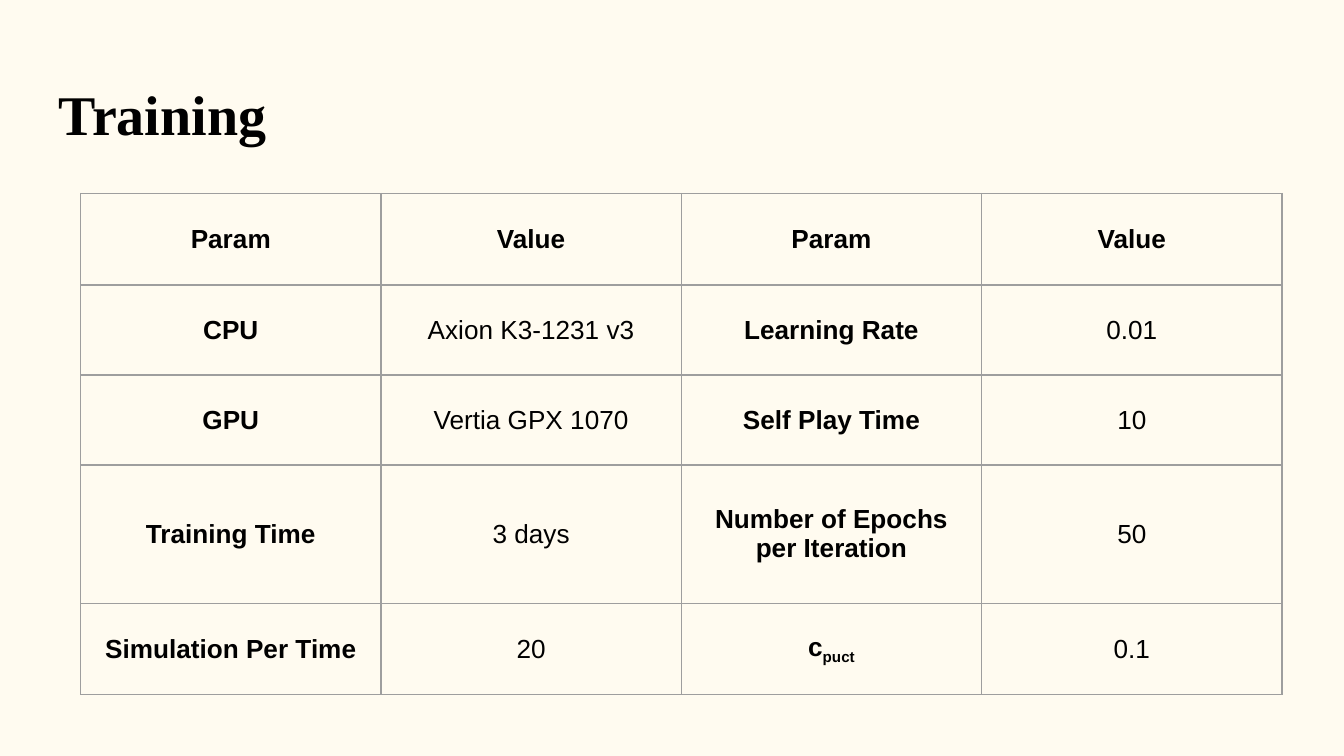
from lxml import etree
from pptx import Presentation
from pptx import util as u
from pptx.dml.color import RGBColor
from pptx.enum import text
from pptx.oxml import ns

COLORS = {"background": "FFFBF0", "ink": "000000", "border": "9E9E9E"}
SLIDE_WIDTH = u.Inches(10)
SLIDE_HEIGHT = SLIDE_WIDTH * 9 // 16
TITLE_FONT = {"name": "Times New Roman", "size": u.Pt(30), "bold": True}
LABEL_FONT = {"name": "Arial", "size": u.Pt(14), "bold": True}
VALUE_FONT = {**LABEL_FONT, "bold": False}
MARGINS = {f"margin_{side}": u.Inches(0.1) for side in ("left", "right", "top", "bottom")}
SUBSCRIPT = "-25000"

ROW_HEIGHTS = [0.68, 0.67, 0.67, 1.03, 0.68]
ROWS = [
    ["Param", "Value", "Param", "Value"],
    ["CPU", "Axion K3-1231 v3", "Learning Rate", "0.01"],
    ["GPU", "Vertia GPX 1070", "Self Play Time", "10"],
    ["Training Time", "3 days", "Number of Epochs per Iteration", "50"],
    ["Simulation Per Time", "20", ("c", "puct"), "0.1"],
]


def set_attrs(obj, values):
    for name, value in values.items():
        setattr(obj, name, value)


def color(name):
    return RGBColor.from_string(COLORS[name])


def add_run(p, content, font):
    r = p.add_run()
    r.text = content
    set_attrs(r.font, font)
    r.font.color.rgb = color("ink")
    return r


def set_borders(cell):
    tcPr = cell._tc.get_or_add_tcPr()
    for i, side in enumerate(("lnL", "lnR", "lnT", "lnB")):
        ln = etree.Element(ns.qn(f"a:{side}"), w=str(u.Pt(0.75)))
        fill = etree.SubElement(ln, ns.qn("a:solidFill"))
        etree.SubElement(fill, ns.qn("a:srgbClr"), val=COLORS["border"])
        tcPr.insert(i, ln)


def add_title(s, left, top, width, height):
    sp = s.shapes.add_textbox(*map(u.Inches, (left, top, width, height)))
    tf = sp.text_frame
    set_attrs(tf, {**MARGINS, "word_wrap": True})
    add_run(tf.paragraphs[0], "Training", TITLE_FONT)


def fill_cell(cell, content, font):
    cell.fill.background()
    set_attrs(cell, {**MARGINS, "vertical_anchor": text.MSO_ANCHOR.MIDDLE})
    p = cell.text_frame.paragraphs[0]
    p.alignment = text.PP_ALIGN.CENTER
    base, *subscripts = (content,) if isinstance(content, str) else content
    add_run(p, base, font)
    for subscript in subscripts:
        r = add_run(p, subscript, font)
        r._r.get_or_add_rPr().set("baseline", SUBSCRIPT)
    set_borders(cell)


def add_parameter_table(s, left, top, width, height):
    box = map(u.Inches, (left, top, width, height))
    table = s.shapes.add_table(len(ROWS), len(ROWS[0]), *box).table
    set_attrs(table, {"first_row": False, "horz_banding": False})
    for row, row_height in zip(table.rows, ROW_HEIGHTS):
        row.height = u.Inches(row_height)
    for i, row in enumerate(ROWS):
        for j, content in enumerate(row):
            font = LABEL_FONT if i == 0 or j % 2 == 0 else VALUE_FONT
            fill_cell(table.cell(i, j), content, font)


def build_training_slide(prs):
    s = prs.slides.add_slide(prs.slide_layouts[6])
    s.background.fill.solid()
    s.background.fill.fore_color.rgb = color("background")
    add_title(s, 0.34, 0.49, 9.32, 0.67)
    add_parameter_table(s, 0.6, 1.44, 8.94, sum(ROW_HEIGHTS))


def main():
    prs = Presentation()
    set_attrs(prs, {"slide_width": SLIDE_WIDTH, "slide_height": SLIDE_HEIGHT})
    build_training_slide(prs)
    prs.save("out.pptx")


if __name__ == "__main__":
    main()
